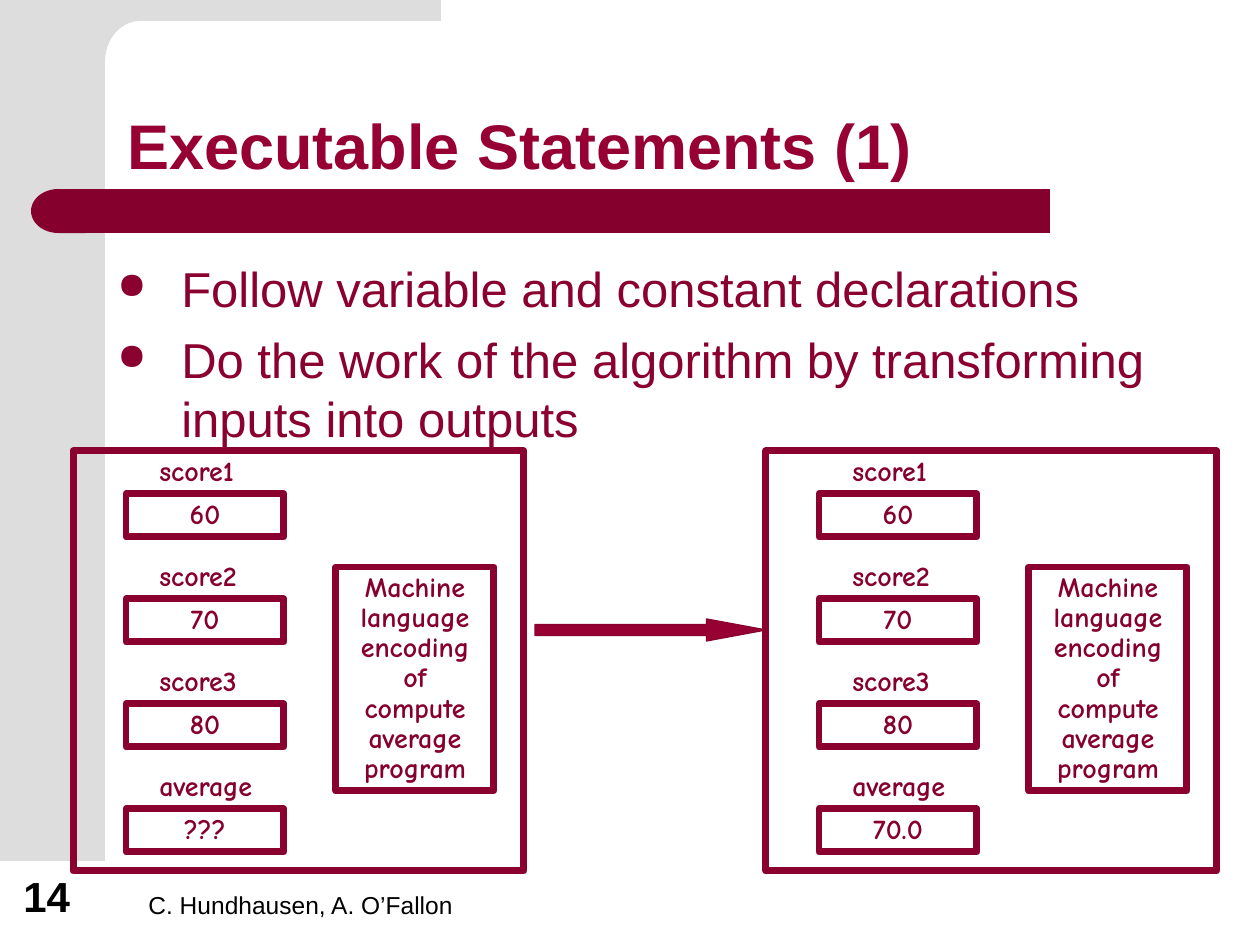
import math
import pptx
import pptx.util
import pptx.dml.color
import pptx.enum.shapes
import pptx.enum.text
import pptx.oxml.ns
from lxml import etree

# Content
TITLE = "Executable Statements (1)"
POINTS = [
    "Follow variable and constant declarations",
    "Do the work of the algorithm by transforming inputs into outputs",
]
PROGRAM = "Machine language encoding of compute average program"
VARIABLES = ["score1", "score2", "score3", "average"]
MEMORIES = [  # left edge, values held
    (73, ["60", "70", "80", "???"]),
    (766, ["60", "70", "80", "70.0"]),
]
FOOTER = "C. Hundhausen, A. O’Fallon"
PAGE_NUMBER = "14"

COLORS = {"gray": "DDDDDD", "bar": "86002D", "wine": "8A002E",
          "title": "960032", "black": "000000"}
BODY_FONT, MEMORY_FONT = "Arial", "Comic Neue"
PX = 914400 // 126
ROW_TOP, ROW_STEP = 451, 105

SHAPE = pptx.enum.shapes.MSO_SHAPE
ANCHOR = pptx.enum.text.MSO_ANCHOR
ALIGN = pptx.enum.text.PP_ALIGN

deck = pptx.Presentation()
deck.slide_width, deck.slide_height = 1260 * PX, 945 * PX
slide = deck.slides.add_slide(deck.slide_layouts[6])


def color(name):
    return pptx.dml.color.RGBColor.from_string(COLORS[name])


def paint(shape, fill=None, line=None, width=4):
    shape.shadow.inherit = False
    if fill:
        shape.fill.solid()
        shape.fill.fore_color.rgb = color(fill)
    else:
        shape.fill.background()
    if line:
        shape.line.color.rgb = color(line)
        shape.line.width = pptx.util.Pt(width)
    else:
        shape.line.fill.background()
    return shape


def add_box(preset, box, **style):
    return paint(slide.shapes.add_shape(preset, *(v * PX for v in box)), **style)


def write(shape, texts, size, ink, font=BODY_FONT, bold=False,
          anchor=ANCHOR.TOP, align=ALIGN.LEFT, spacing=None):
    frame = shape.text_frame
    frame.word_wrap = True
    frame.vertical_anchor = anchor
    for i, text in enumerate(texts):
        paragraph = frame.paragraphs[0] if i == 0 else frame.add_paragraph()
        paragraph.alignment = align
        if spacing:
            paragraph.line_spacing = spacing
        run = paragraph.add_run()
        run.text = text
        run.font.size = pptx.util.Pt(size)
        run.font.name = font
        run.font.bold = bold
        run.font.color.rgb = color(ink)
    return frame.paragraphs


def add_text(box, texts, size, ink, **style):
    return write(slide.shapes.add_textbox(*(v * PX for v in box)),
                 texts, size, ink, **style)


def add_bullet(paragraph, hang):
    paragraph.space_before = pptx.util.Pt(7)
    props = paragraph._p.get_or_add_pPr()
    props.set("marL", str(hang * PX))
    props.set("indent", str(-hang * PX))
    tag = pptx.oxml.ns.qn
    tint = etree.SubElement(props, tag("a:buClr"))
    etree.SubElement(tint, tag("a:srgbClr"), val=COLORS["wine"])
    etree.SubElement(props, tag("a:buSzPct"), val="75000")
    etree.SubElement(props, tag("a:buChar"), char="●")


# Gray side band with its rounded inner corner
add_box(SHAPE.RECTANGLE, (0, -84, 105, 945), fill="gray")
arc = [(140 - 35 * math.sin(a), 62 - 41 * math.cos(a))
       for a in (math.pi / 2 * i / 16 for i in range(17))]
corner = slide.shapes.build_freeform(441 * PX, -84 * PX, scale=1.0)
corner.add_line_segments([(round(x * PX), round(y * PX)) for x, y in
                          [(441, 21), *arc, (105, 77), (63, 77), (63, -84)]])
paint(corner.convert_to_shape(), fill="gray")

# Title bar
add_box(SHAPE.RECTANGLE, (84, 189, 966, 44), fill="bar")
bar_end = add_box(SHAPE.FLOWCHART_DELAY, (31, 189, 55, 44), fill="bar")
bar_end._element.spPr.get_or_add_xfrm().set("flipH", "1")

# Footer, page number, title and points
add_text((136, 861, 473, 65), [FOOTER], 14, "black", anchor=ANCHOR.BOTTOM)
add_text((11, 861, 81, 66), [PAGE_NUMBER], 24, "black", bold=True,
         anchor=ANCHOR.BOTTOM)
add_text((115, 52, 1072, 137), [TITLE], 36, "title", bold=True,
         anchor=ANCHOR.BOTTOM, spacing=0.9)
for point in add_text((105, 252, 1060, 513), POINTS, 28, "wine"):
    add_bullet(point, 64)

# Memory before and after the program runs
memory_text = dict(size=16, ink="bar", font=MEMORY_FONT, bold=True, spacing=0.9)
for left, values in MEMORIES:
    for row, (variable, value) in enumerate(zip(VARIABLES, values)):
        top = ROW_TOP + row * ROW_STEP
        cell = add_box(SHAPE.RECTANGLE, (left + 53, top + 43, 158, 43), line="wine")
        write(cell, [value], align=ALIGN.CENTER, **memory_text)
        add_text((left + 74, top, 136, 43), [variable], **memory_text)
    program = add_box(SHAPE.RECTANGLE, (left + 263, 567, 158, 224), line="wine")
    write(program, [PROGRAM], align=ALIGN.CENTER, **memory_text)
    add_box(SHAPE.RECTANGLE, (left, 451, 451, 420), line="wine")

# Arrow between the two states
arrow = add_box(SHAPE.RIGHT_ARROW, (535, 619, 231, 22),
                fill="title", line="wine", width=0.75)
arrow.adjustments[0] = 0.5
arrow.adjustments[1] = 2.7

deck.save("out.pptx")
